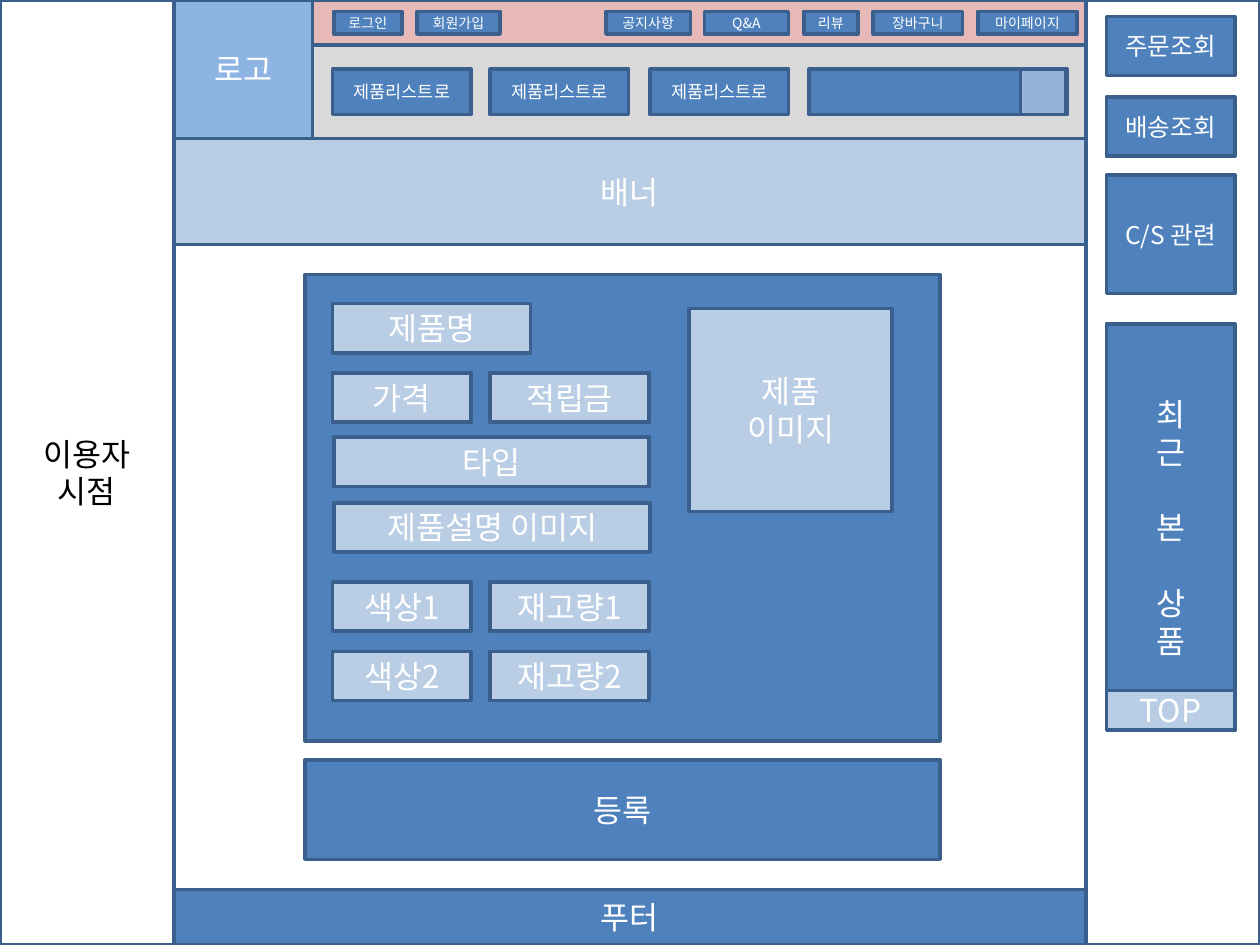
"""Build a wireframe slide of a shop's product registration page."""
from pptx import Presentation
from pptx.dml.color import RGBColor
from pptx.enum.shapes import MSO_SHAPE
from pptx.enum.text import MSO_ANCHOR, PP_ALIGN
from pptx.oxml.ns import qn
from pptx.util import Inches, Pt

RECTANGLE = MSO_SHAPE.RECTANGLE
MIDDLE = MSO_ANCHOR.MIDDLE
CENTER = PP_ALIGN.CENTER
FONT = "Noto Sans CJK KR"
COLORS = {
    "white": "FFFFFF", "black": "000000", "outline": "3A5F8C",
    "gray": "D9D9D9", "pink": "E6B9B8", "logo": "8EB4E3",
    "blue": "4F81BD", "search": "95B3D7", "pale": "B9CDE5",
}

presentation = Presentation()
presentation.slide_width = Inches(10)
presentation.slide_height = Inches(7.5)
slide = presentation.slides.add_slide(presentation.slide_layouts[6])


def add_box(left, top, width, height, text="", fill="blue", size=18, color="white", gaps=()):
    """Add an outlined box; gaps lists the lines that follow an empty line's height."""
    shape = slide.shapes.add_shape(
        RECTANGLE, Inches(left), Inches(top), Inches(width), Inches(height))
    shape.shadow.inherit = False
    shape.fill.solid()
    shape.fill.fore_color.rgb = RGBColor.from_string(COLORS[fill])
    shape.line.color.rgb = RGBColor.from_string(COLORS["outline"])
    shape.line.width = Pt(2)
    if not text:
        return
    frame = shape.text_frame
    frame.word_wrap = True
    frame.vertical_anchor = MIDDLE
    frame.margin_left = frame.margin_right = frame.margin_top = frame.margin_bottom = 0
    for index, line in enumerate(text.split("\n")):
        paragraph = frame.add_paragraph() if index else frame.paragraphs[0]
        paragraph.alignment = CENTER
        paragraph.line_spacing = Pt(size * 1.2)
        if index in gaps:
            paragraph.space_before = Pt(size * 1.2)
        run = paragraph.add_run()
        run.text = line
        run.font.size = Pt(size)
        run.font.name = FONT
        run.font.color.rgb = RGBColor.from_string(COLORS[color])
        east_asian = run.font._element.makeelement(qn("a:ea"), {"typeface": FONT})
        run.font._element.find(qn("a:latin")).addnext(east_asian)


side_width, page_width = 1.38, 7.24
page_right = side_width + page_width
add_box(page_right, 0, side_width, 7.5, fill="white")
add_box(0, 0, side_width, 7.5, "이용자\n시점", fill="white", color="black")

add_box(side_width, 0, page_width, 1.1, fill="gray")
add_box(side_width, 0, 1.1, 1.1, "로고", fill="logo")
add_box(2.48, 0, 6.14, 0.36, fill="pink")
for left in (2.64, 3.89, 5.16):
    add_box(left, 0.55, 1.1, 0.36, "제품리스트로", size=10)
add_box(6.42, 0.55, 2.05, 0.36)
add_box(8.1, 0.55, 0.36, 0.36, fill="search")

menu_items = [
    (2.65, 0.54, "로그인"), (3.31, 0.66, "회원가입"), (4.81, 0.67, "공지사항"),
    (5.59, 0.67, "Q&A"), (6.38, 0.43, "리뷰"), (6.93, 0.71, "장바구니"),
    (7.76, 0.79, "마이페이지"),
]
for left, width, label in menu_items:
    add_box(left, 0.09, width, 0.18, label, size=8)

add_box(side_width, 1.1, page_width, 0.84, "배너", fill="pale")
add_box(side_width, 7.06, page_width, 0.44, "푸터")

quick_left, quick_width = 8.78, 1.02
for top, height, label in [
    (0.13, 0.47, "주문조회"), (0.77, 0.47, "배송조회"), (1.39, 0.94, "C/S 관련"),
]:
    add_box(quick_left, top, quick_width, height, label, size=14)
add_box(quick_left, 2.57, quick_width, 3.23, "최\n근\n본\n상\n품", gaps=(2, 3))
add_box(quick_left, 5.48, quick_width, 0.31, "TOP", fill="pale")

add_box(2.42, 2.18, 5.04, 3.7)
add_box(2.42, 6.03, 5.04, 0.79, "등록")
add_box(5.47, 2.45, 1.61, 1.61, "제품\n이미지", fill="pale")

field_height = 0.39
for left, top, width, label in [
    (2.64, 2.41, 1.57, "제품명"),
    (2.65, 3.47, 2.5, "타입"),
    (2.65, 3.99, 2.51, "제품설명 이미지"),
]:
    add_box(left, top, width, field_height, label, fill="pale")
for top, first, second in [
    (2.96, "가격", "적립금"), (4.62, "색상1", "재고량1"), (5.17, "색상2", "재고량2"),
]:
    add_box(2.64, top, 1.1, field_height, first, fill="pale")
    add_box(3.89, top, 1.26, field_height, second, fill="pale")

presentation.save("out.pptx")
